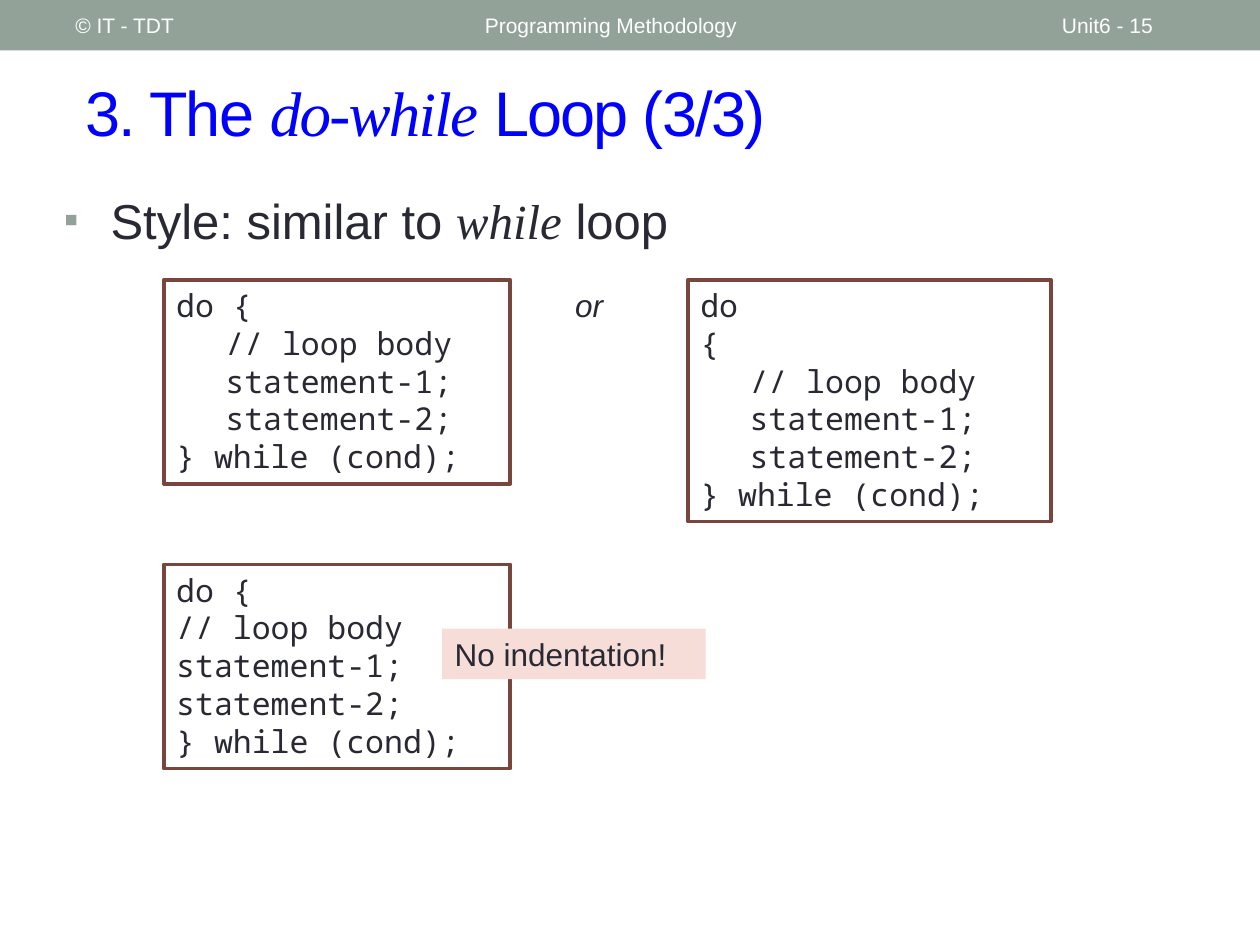
"""Build the do-while loop style slide."""
import dataclasses

import lxml.etree
import pptx
import pptx.dml.color
import pptx.enum.shapes
import pptx.enum.text
import pptx.oxml.ns
import pptx.util

PX = 9144


@dataclasses.dataclass(frozen=True)
class Theme:
    bar: str = "93A299"
    white: str = "FFFFFF"
    title: str = "0000FF"
    ink: str = "292934"
    border: str = "79463D"
    note: str = "F6DDD8"
    sans: str = "Arial"
    serif: str = "Times New Roman"
    mono: str = "Noto Sans Mono"
    small: int = 12
    body: int = 18
    bullet: int = 28
    heading: int = 36
    outline: float = 2.08


def rgb(value):
    return pptx.dml.color.RGBColor.from_string(value)


def add_xml(parent, tag, **attributes):
    return lxml.etree.SubElement(parent, pptx.oxml.ns.qn(tag), attributes)


def write(para, text, *, size, color, font, italic=False, spacing=None):
    span = para.add_run()
    span.text = text
    span.font.size = pptx.util.Pt(size)
    span.font.name = font
    span.font.italic = italic
    span.font.color.rgb = rgb(color)
    if spacing is not None:
        span.font._element.set("spc", str(spacing))


class SlideBuilder:
    def __init__(self, page, theme):
        self.page = page
        self.theme = theme

    def rectangle(self, place, fill, line=None):
        box = self.page.shapes.add_shape(
            pptx.enum.shapes.MSO_SHAPE.RECTANGLE, *(value * PX for value in place))
        box.shadow.inherit = False
        box.fill.solid()
        box.fill.fore_color.rgb = rgb(fill)
        if line:
            box.line.color.rgb = rgb(line)
            box.line.width = pptx.util.Pt(self.theme.outline)
        else:
            box.line.fill.background()
        return box

    def frame(self, box, middle=False, grow=False):
        anchors = pptx.enum.text.MSO_ANCHOR
        frame = box.text_frame
        frame.word_wrap = True
        frame.vertical_anchor = anchors.MIDDLE if middle else anchors.TOP
        if grow:
            frame.auto_size = pptx.enum.text.MSO_AUTO_SIZE.SHAPE_TO_FIT_TEXT
        frame.paragraphs[0].alignment = pptx.enum.text.PP_ALIGN.LEFT
        return frame

    def text_box(self, place, **options):
        box = self.page.shapes.add_textbox(*(value * PX for value in place))
        return self.frame(box, **options).paragraphs[0]

    def mixed(self, para, parts, **style):
        for position, text in enumerate(parts):
            italic = position % 2 == 1
            font = self.theme.serif if italic else self.theme.sans
            write(para, text, font=font, italic=italic, **style)

    def header(self, left, width, text):
        para = self.text_box((left, 2, width, 36), middle=True)
        write(para, text, size=self.theme.small, color=self.theme.white, font=self.theme.sans)

    def title(self, place, parts):
        para = self.text_box(place, middle=True)
        self.mixed(para, parts, size=self.theme.heading, color=self.theme.title, spacing=-100)

    def bullet(self, place, parts):
        para = self.text_box(place)
        properties = para._p.get_or_add_pPr()
        properties.set("marL", str(37 * PX))
        properties.set("indent", str(-37 * PX))
        add_xml(add_xml(properties, "a:buClr"), "a:srgbClr", val=self.theme.bar)
        add_xml(properties, "a:buSzPct", val="85000")
        add_xml(properties, "a:buFont", typeface=self.theme.sans)
        add_xml(properties, "a:buChar", char="▪")
        self.mixed(para, parts, size=self.theme.bullet, color=self.theme.ink)

    def code(self, place, lines):
        box = self.rectangle(place, self.theme.white, self.theme.border)
        frame = self.frame(box, grow=True)
        for position, line in enumerate(lines):
            para = frame.add_paragraph() if position else frame.paragraphs[0]
            para.alignment = pptx.enum.text.PP_ALIGN.LEFT
            stops = add_xml(para._p.get_or_add_pPr(), "a:tabLst")
            for stop in (39, 79):
                add_xml(stops, "a:tab", pos=str(stop * PX), algn="l")
            write(para, line, size=self.theme.body, color=self.theme.ink, font=self.theme.mono)

    def label(self, place, text):
        para = self.text_box(place, grow=True)
        para.alignment = pptx.enum.text.PP_ALIGN.CENTER
        write(para, text, size=self.theme.body, color=self.theme.ink,
              font=self.theme.sans, italic=True)

    def note(self, place, text):
        box = self.rectangle(place, self.theme.note)
        para = self.frame(box, grow=True).paragraphs[0]
        write(para, text, size=self.theme.body, color=self.theme.ink, font=self.theme.sans)


def main():
    deck = pptx.Presentation()
    deck.slide_width, deck.slide_height = 1000 * PX, 750 * PX
    page = deck.slides.add_slide(deck.slide_layouts[6])
    theme = Theme()
    builder = SlideBuilder(page, theme)

    builder.rectangle((0, 0, 1000, 40), theme.bar)
    builder.title((58, 42, 917, 92), ("3. The ", "do-while", " Loop (3/3)"))
    builder.header(375, 450, "Programming Methodology")
    builder.header(833, 117, "Unit6 - 15")
    builder.header(50, 317, "© IT - TDT")
    builder.bullet((41, 146, 557, 120), ("Style: similar to ", "while", " loop"))

    body = ["// loop body", "statement-1;", "statement-2;"]
    indented = ["\t" + line for line in body]
    ending = ["} while (cond);"]
    builder.code((130, 222, 275, 162), ["do {"] + indented + ending)
    builder.label((429, 222, 77, 40), "or")
    builder.code((546, 222, 288, 192), ["do", "{"] + indented + ending)
    builder.code((130, 448, 275, 162), ["do {"] + body + ending)
    builder.note((351, 499, 209, 40), "No indentation!")
    deck.save("out.pptx")


if __name__ == "__main__":
    main()
